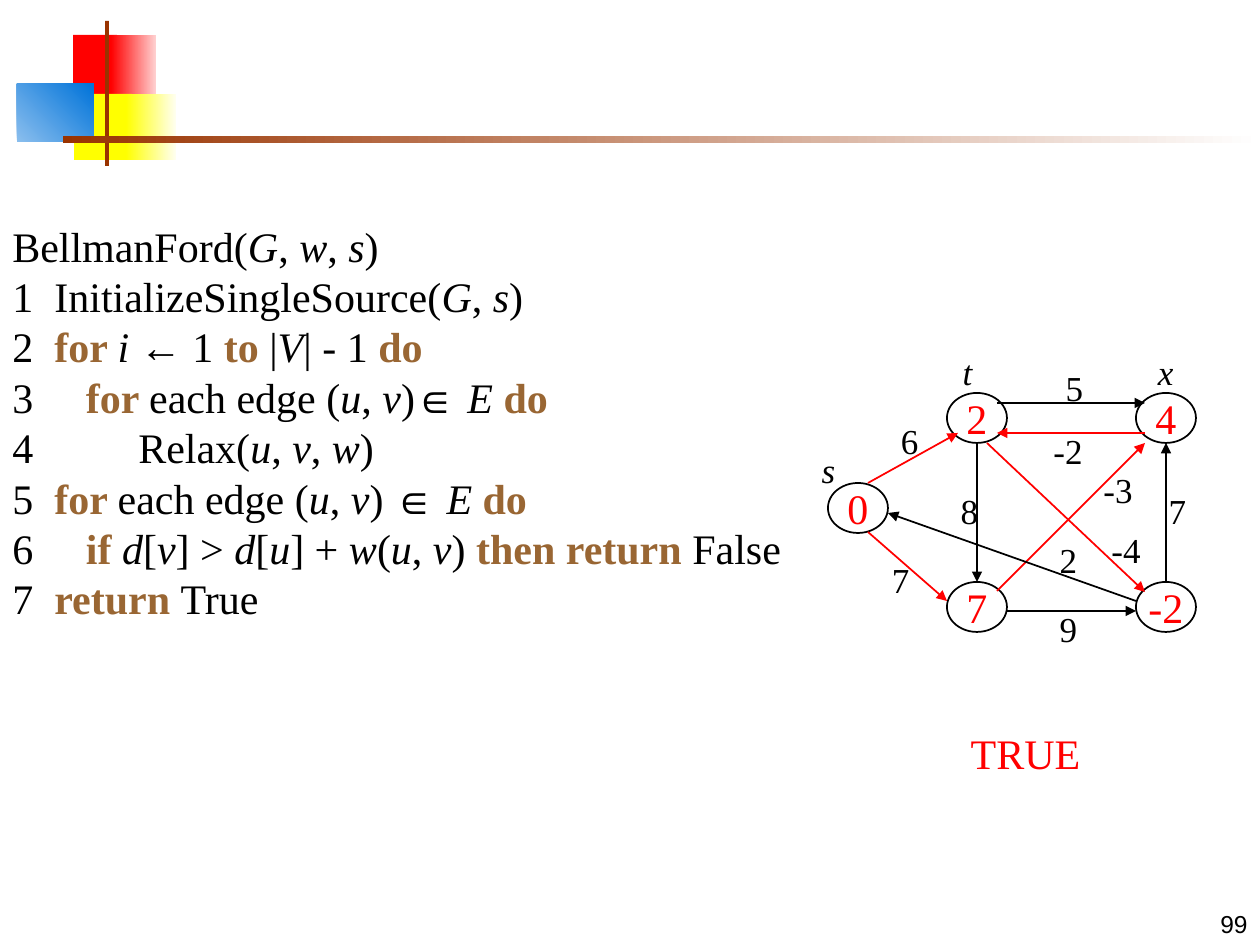
from dataclasses import dataclass

from lxml import etree
from pptx import Presentation
from pptx import util as u
from pptx.dml.color import RGBColor
from pptx.enum import shapes, text
from pptx.oxml.ns import qn

SCALE = 914400 / 126


@dataclass(frozen=True)
class Theme:
    serif: str = "Times New Roman"
    sans: str = "Arial"
    ink: str = "000000"
    paper: str = "FFFFFF"
    accent: str = "FF0000"
    keyword: str = "996633"
    rule: str = "993300"
    body_size: int = 24
    label_size: int = 20
    number_size: int = 14
    line_pitch: float = 28.8


THEME = Theme()

BANDS = [
    ((73, 35, 44, 66), ["FF0000"], 0),
    ((111, 35, 45, 66), ["FF0000", "FFD1D1"], 0),
    ((74, 94, 58, 66), ["FFFF00"], 0),
    ((126, 94, 50, 66), ["FFFF00", "FFFFF0"], 0),
    ((17, 84, 77, 58), ["8BBFEE", "0073D9"], 45),
    ((105, 21, 4, 145), [THEME.rule], 0),
    ((63, 136, 1197, 7), [THEME.rule, THEME.paper], 0),
]

NODES = [("0", 828, 483), ("2", 947, 393), ("7", 947, 582),
         ("4", 1136, 393), ("-2", 1136, 582)]

EDGES = [
    ((868, 483), (958, 433), THEME.accent),
    ((997, 403), (1145, 403), THEME.ink),
    ((1145, 433), (997, 433), THEME.accent),
    ((977, 443), (977, 582), THEME.ink),
    ((868, 532), (947, 601), THEME.accent),
    ((1007, 611), (1136, 611), THEME.ink),
    ((1166, 582), (1166, 443), THEME.ink),
    ((987, 443), (1145, 592), THEME.accent),
    ((997, 591), (1145, 443), THEME.accent),
    ((1136, 601), (888, 513), THEME.ink),
]

WEIGHTS = [("5", 1074, 360), ("-2", 1068, 423), ("6", 909, 413),
           ("7", 900, 552), ("8", 969, 483), ("7", 1177, 483),
           ("9", 1068, 601), ("2", 1068, 532), ("-3", 1118, 462),
           ("-4", 1126, 522)]

NAMES = [("t", 967, 344), ("x", 1165, 344), ("s", 828, 442)]

CODE = [
    "BellmanFord(_G_, _w_, _s_)",
    "1  InitializeSingleSource(_G_, _s_)",
    "2  *for *_i _← 1 *to *|_V_| - 1 *do*",
    "3     *for *each edge (_u_, _v_)∈ _E _*do*",
    "4          Relax(_u_, _v_, _w_)",
    "5  *for *each edge (_u_, _v_) ∈ _E _*do*",
    "6     *if *_d_[_v_] > _d_[_u_] + _w_(_u_, _v_) *then return *False",
    "7  *return *True",
]


def px(*lengths):
    return [u.Emu(round(length * SCALE)) for length in lengths]


def rgb(color):
    return RGBColor.from_string(color)


def add_span(para, words, size, color=THEME.ink, face=THEME.serif,
             bold=False, italic=False):
    span = para.add_run()
    span.text = words
    font = span.font
    font.name, font.size = face, u.Pt(size)
    font.bold, font.italic = bold, italic
    font.color.rgb = rgb(color)


def add_band(page, area, colors, angle):
    band = page.shapes.add_shape(shapes.MSO_SHAPE.RECTANGLE, *px(*area))
    band.shadow.inherit = False
    band.line.fill.background()
    if len(colors) == 1:
        band.fill.solid()
        band.fill.fore_color.rgb = rgb(colors[0])
        return
    band.fill.gradient()
    band.fill.gradient_angle = angle
    for stop, color in zip(band.fill.gradient_stops, colors):
        stop.color.rgb = rgb(color)


def add_node(page, distance, left, top):
    node = page.shapes.add_shape(shapes.MSO_SHAPE.OVAL, *px(left, top, 60, 50))
    node.shadow.inherit = False
    node.fill.solid()
    node.fill.fore_color.rgb = rgb(THEME.paper)
    node.line.color.rgb = rgb(THEME.ink)
    node.line.width = u.Pt(1)
    frame = node.text_frame
    frame.word_wrap = False
    frame.vertical_anchor = text.MSO_ANCHOR.MIDDLE
    para = frame.paragraphs[0]
    para.alignment = text.PP_ALIGN.CENTER
    add_span(para, distance, THEME.body_size, THEME.accent)


def add_edge(page, start, end, color):
    edge = page.shapes.add_connector(
        shapes.MSO_CONNECTOR.STRAIGHT, *px(*start, *end))
    edge.line.color.rgb = rgb(color)
    edge.line.width = u.Pt(1)
    etree.SubElement(edge.line._get_or_add_ln(), qn("a:tailEnd"), type="triangle")
    etree.SubElement(edge._element.spPr, qn("a:effectLst"))


def add_box(page, area, wrap=False, align=text.PP_ALIGN.CENTER):
    box = page.shapes.add_textbox(*px(*area))
    frame = box.text_frame
    frame.word_wrap = wrap
    frame.paragraphs[0].alignment = align
    return frame


def add_label(page, words, center, top, italic=False):
    width = 32 + 11 * len(words)
    frame = add_box(page, (center - width // 2, top, width, 55))
    add_span(frame.paragraphs[0], words, THEME.label_size, italic=italic)


def add_code(page, lines):
    frame = add_box(page, (0, 214, 833, 416), True, text.PP_ALIGN.LEFT)
    for index, line in enumerate(lines):
        para = frame.add_paragraph() if index else frame.paragraphs[0]
        para.line_spacing = u.Pt(THEME.line_pitch)
        for i, part in enumerate(line.split("*")):
            bold = i % 2 == 1
            color = THEME.keyword if bold else THEME.ink
            for j, words in enumerate(part.split("_")):
                if words:
                    add_span(para, words, THEME.body_size, color,
                             bold=bold, italic=j % 2 == 1)


def add_verdict(page):
    frame = add_box(page, (958, 721, 135, 63))
    add_span(frame.paragraphs[0], "TRUE", THEME.body_size, THEME.accent)


def add_page_number(page):
    frame = add_box(page, (998, 882, 262, 63), True, text.PP_ALIGN.RIGHT)
    frame.vertical_anchor = text.MSO_ANCHOR.BOTTOM
    add_span(frame.paragraphs[0], "99", THEME.number_size, face=THEME.sans)


def main():
    deck = Presentation()
    deck.slide_width, deck.slide_height = px(1260, 945)
    page = deck.slides.add_slide(deck.slide_layouts[6])
    for band in BANDS:
        add_band(page, *band)
    add_page_number(page)
    for node in NODES:
        add_node(page, *node)
    for edge in EDGES:
        add_edge(page, *edge)
    for weight in WEIGHTS:
        add_label(page, *weight)
    for name in NAMES:
        add_label(page, *name, italic=True)
    add_verdict(page)
    add_code(page, CODE)
    deck.save("out.pptx")


if __name__ == "__main__":
    main()
